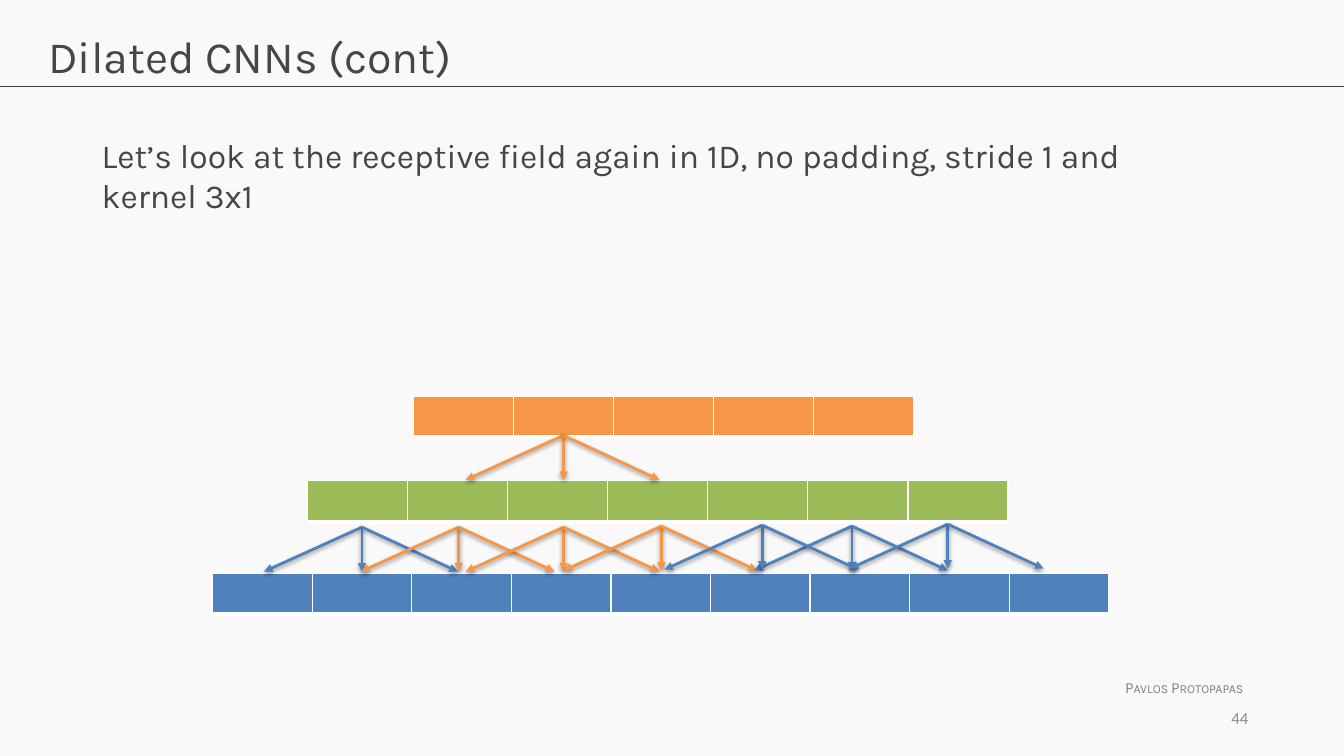
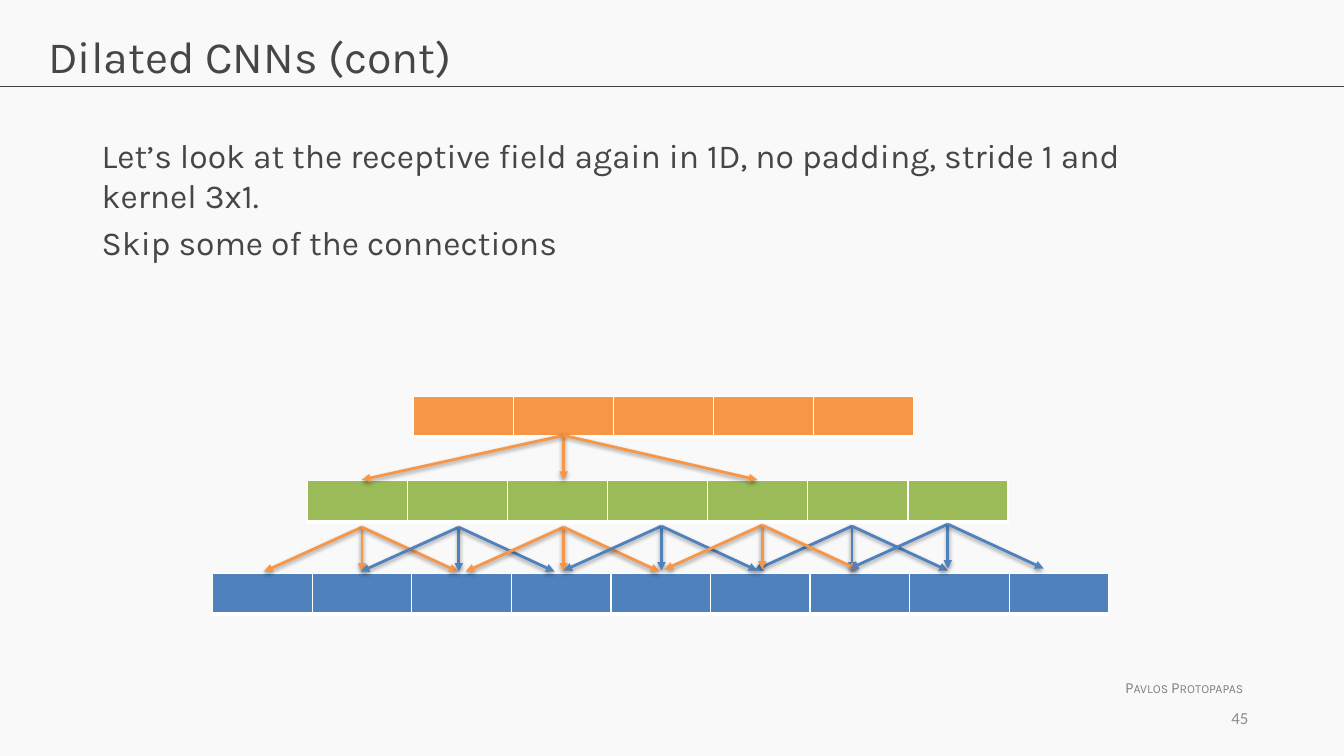
from lxml.etree import SubElement
from pptx import Presentation
from pptx.dml.color import RGBColor
from pptx.enum.shapes import MSO_CONNECTOR
from pptx.enum.text import MSO_ANCHOR, MSO_AUTO_SIZE, PP_ALIGN
from pptx.oxml import parse_xml
from pptx.oxml.ns import nsdecls, qn
from pptx.util import Inches, Pt

# Shared style
BACKGROUND, RULE, TEXT = "F9F9F9", "404040", "464646"
FOOTER, NUMBER = "808080", "8C8C8C"
BLUE, GREEN, ORANGE, WHITE = "4F81BD", "9BBB59", "F79646", "FFFFFF"
FONT, NUMBER_FONT = "Karla", "Calibri"
WIDTH, HEIGHT = 13.33, 7.5
TITLE = "Dilated CNNs (cont)"
AUTHOR = "Pavlos Protopapas"

# Layers: left, top, width, height, cell count, colour
LAYERS = [
    (2.11, 5.69, 8.89, 0.4, 9, BLUE),
    (3.05, 4.77, 6.95, 0.41, 7, GREEN),
    (4.1, 3.93, 4.96, 0.4, 5, ORANGE),
]

# Arrow fans below the middle layer, in drawing order: cell index, apex x, apex y
LOWER_FANS = [
    (0, 3.59, 5.23), (1, 4.55, 5.23), (2, 5.59, 5.23), (3, 6.56, 5.22),
    (5, 8.45, 5.22), (4, 7.56, 5.21), (6, 9.4, 5.2),
]
LOWER_REACH = (-0.97, 0, 0.95)
TOP_APEX = (5.59, 4.32)
FAN_DROP = 0.44

SLIDES = [
    {
        "number": 44,
        "body": ["Let’s look at the receptive field again in 1D, no padding, "
                 "stride 1 and kernel 3x1"],
        "top_reach": LOWER_REACH,
        "active_cells": {1, 2, 3},
    },
    {
        "number": 45,
        "body": ["Let’s look at the receptive field again in 1D, no padding, "
                 "stride 1 and kernel 3x1.",
                 "Skip some of the connections"],
        "top_reach": (-2, 0, 1.92),
        "active_cells": {0, 2, 4},
    },
]


def rgb(value):
    return RGBColor.from_string(value)


def add_text(slide, box, lines, size, color, font=FONT, wrap=True):
    shape = slide.shapes.add_textbox(*map(Inches, box))
    frame = shape.text_frame
    frame.word_wrap = wrap
    frame.text = "\n".join(lines)
    for index, paragraph in enumerate(frame.paragraphs):
        if index:
            paragraph.space_before = Pt(size * 0.2)
        for run in paragraph.runs:
            run.font.name = font
            run.font.size = Pt(size)
            run.font.color.rgb = rgb(color)
    return frame


def add_line(slide, start, end, color, width):
    line = slide.shapes.add_connector(
        MSO_CONNECTOR.STRAIGHT, *map(Inches, (*start, *end)))
    line.line.color.rgb = rgb(color)
    line.line.width = Pt(width)
    effects = SubElement(line._element.spPr, qn("a:effectLst"))
    return line, effects


def add_arrow(slide, start, end, color):
    arrow, effects = add_line(slide, start, end, color, 2)
    SubElement(arrow.line._get_or_add_ln(), qn("a:tailEnd"), type="triangle")
    effects.append(parse_xml(
        f'<a:outerShdw {nsdecls("a")} blurRad="40000" dist="20000" '
        'dir="5400000" rotWithShape="0"><a:srgbClr val="000000">'
        '<a:alpha val="38000"/></a:srgbClr></a:outerShdw>'))


def add_fan(slide, apex, reach, color):
    x, y = apex
    for offset in reach:
        add_arrow(slide, apex, (x + offset, y + FAN_DROP), color)


def set_borders(cell):
    properties = cell._tc.get_or_add_tcPr()
    sides = (("lnL", 1), ("lnR", 1), ("lnT", 1), ("lnB", 3))
    for position, (side, width) in enumerate(sides):
        properties.insert(position, parse_xml(
            f'<a:{side} {nsdecls("a")} w="{Pt(width)}"><a:solidFill>'
            f'<a:srgbClr val="{WHITE}"/></a:solidFill></a:{side}>'))


def add_layer(slide, left, top, width, height, count, color):
    table = slide.shapes.add_table(
        1, count, *map(Inches, (left, top, width, height))).table
    table.first_row = table.horz_banding = False
    for column in table.columns:
        column.width = Inches(width / count)
    for cell in table.iter_cells():
        cell.margin_top = cell.margin_bottom = 0
        cell.fill.solid()
        cell.fill.fore_color.rgb = rgb(color)
        set_borders(cell)


def add_frame(slide, number):
    """Background, rule, title, author and slide number."""
    slide.background.fill.solid()
    slide.background.fill.fore_color.rgb = rgb(BACKGROUND)
    add_line(slide, (0, 0.86), (WIDTH, 0.86), RULE, 0.75)
    author = add_text(slide, (11.06, 6.68, 1.41, 0.29), [AUTHOR], 11, FOOTER,
                      wrap=False)
    author.auto_size = MSO_AUTO_SIZE.SHAPE_TO_FIT_TEXT
    author.paragraphs[0].runs[0].font._element.set("cap", "small")
    add_text(slide, (0.38, 0.24, 12.57, 0.84), [TITLE], 32, TEXT)
    page = add_text(slide, (9.37, 6.92, 3.11, 0.4), [str(number)], 12, NUMBER,
                    NUMBER_FONT)
    page.vertical_anchor = MSO_ANCHOR.MIDDLE
    page.paragraphs[0].alignment = PP_ALIGN.RIGHT


def build_slide(presentation, content):
    slide = presentation.slides.add_slide(presentation.slide_layouts[6])
    add_frame(slide, content["number"])
    body = add_text(slide, (0.91, 1.29, 11.29, 2.31), content["body"], 24, TEXT)
    body.margin_right = Inches(0.3)

    # Layers first, then the arrows between them
    for layer in LAYERS:
        add_layer(slide, *layer)
    add_fan(slide, TOP_APEX, content["top_reach"], ORANGE)
    for cell, x, y in LOWER_FANS:
        color = ORANGE if cell in content["active_cells"] else BLUE
        add_fan(slide, (x, y), LOWER_REACH, color)


def main():
    presentation = Presentation()
    presentation.slide_width = Inches(WIDTH)
    presentation.slide_height = Inches(HEIGHT)
    for content in SLIDES:
        build_slide(presentation, content)
    presentation.save("out.pptx")


if __name__ == "__main__":
    main()
